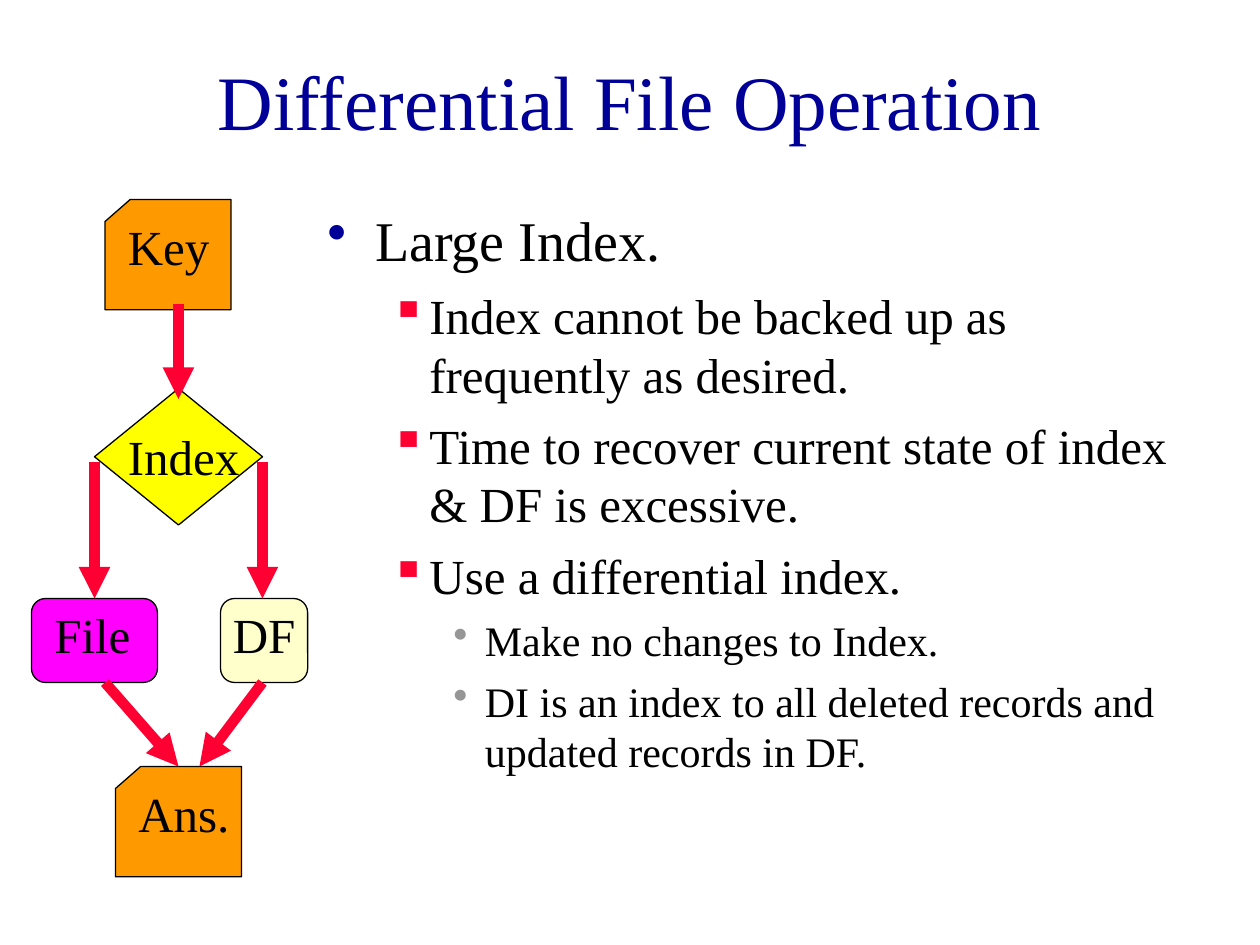
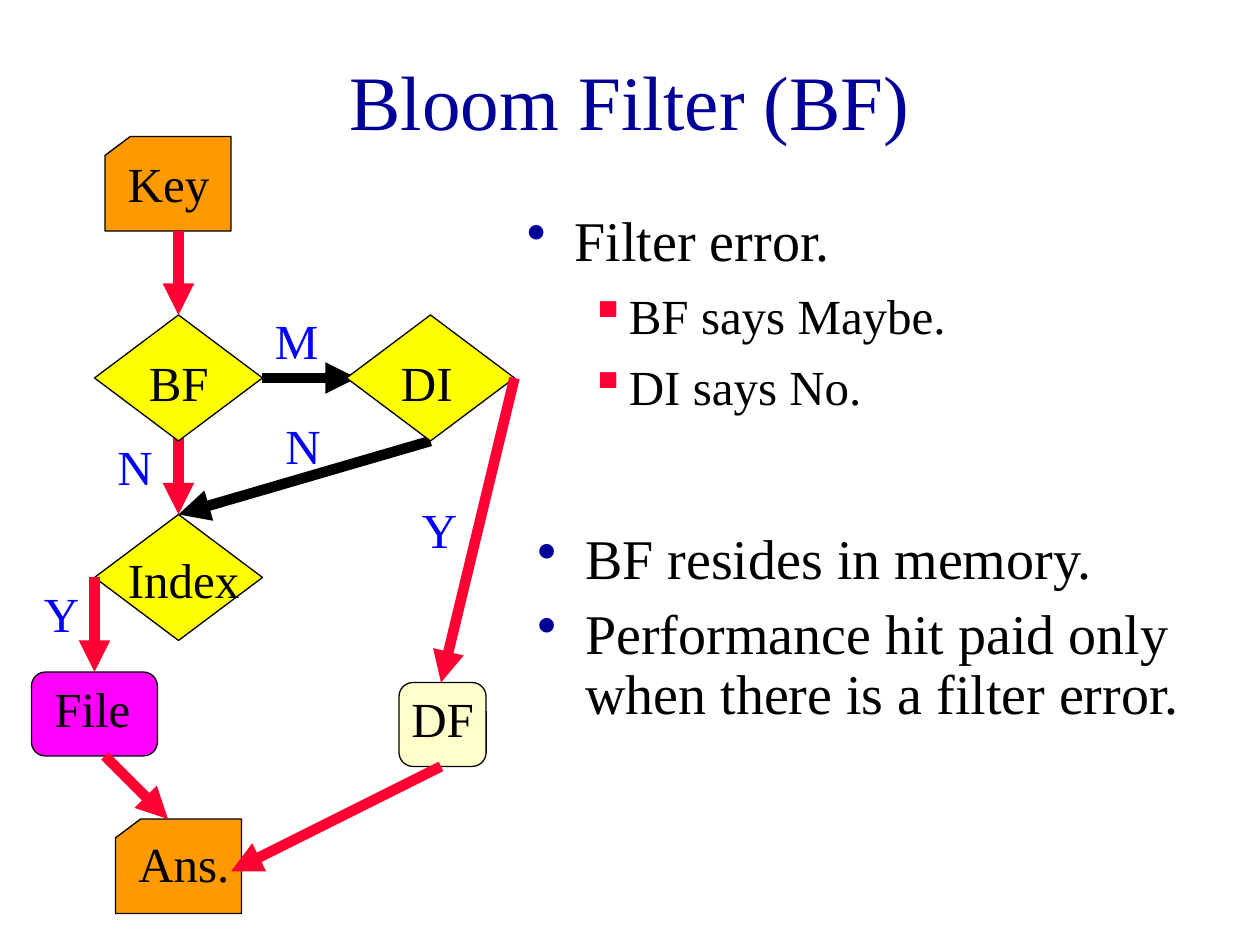
from lxml.etree import SubElement
from pptx import Presentation
from pptx.dml.color import RGBColor
from pptx.enum.shapes import MSO_CONNECTOR, MSO_SHAPE
from pptx.enum.text import MSO_ANCHOR, MSO_AUTO_SIZE, PP_ALIGN
from pptx.oxml.ns import qn
from pptx.util import Emu, Inches, Pt

# Shared look
FONT = "Times New Roman"
NAVY = RGBColor(0x00, 0x00, 0x99)
BLACK = RGBColor(0x00, 0x00, 0x00)
WHITE = RGBColor(0xFF, 0xFF, 0xFF)
RED = RGBColor(0xFF, 0x00, 0x33)
GREY = RGBColor(0x96, 0x96, 0x96)
BLUE = RGBColor(0x00, 0x00, 0xFF)
ORANGE = RGBColor(0xFF, 0x99, 0x00)
YELLOW = RGBColor(0xFF, 0xFF, 0x00)
MAGENTA = RGBColor(0xFF, 0x00, 0xFF)
CREAM = RGBColor(0xFF, 0xFF, 0xCC)

UNIT = Inches(1) // 12  # the grid has 120 columns and 90 rows
LABEL_H = 6.8

# Node kinds: shape, fill, width
CARD = (MSO_SHAPE.FLOWCHART_CARD, ORANGE, 12)
TEST = (MSO_SHAPE.FLOWCHART_DECISION, YELLOW, 16)
FILE = (MSO_SHAPE.FLOWCHART_ALTERNATE_PROCESS, MAGENTA, 12)
DIFF = (MSO_SHAPE.FLOWCHART_ALTERNATE_PROCESS, CREAM, 8.3)

# Outline levels: size, space before, left margin, hanging indent, bullet, colour
LEVELS = [
    (32, 8, 0.38, 0.38, "•", NAVY),
    (28, 7, 0.81, 0.31, "▪", RED),
    (24, 6, 1.25, 0.25, "•", GREY),
]


def grid(*cells):
    return [Emu(round(c * UNIT)) for c in cells]


def style(p, size, color):
    for r in p.runs:
        r.font.name = FONT
        r.font.size = Pt(size)
        r.font.color.rgb = color


def add_title(s, text):
    tf = s.shapes.add_textbox(*grid(9, 2, 102, 15)).text_frame
    tf.word_wrap = True
    tf.vertical_anchor = MSO_ANCHOR.MIDDLE
    tf.text = text
    p = tf.paragraphs[0]
    p.alignment = PP_ALIGN.CENTER
    style(p, 44, NAVY)


def add_bullet(p, level):
    size, before, margin, hanging, char, color = LEVELS[level]
    p.level = level
    p.space_before = Pt(before)
    p.alignment = PP_ALIGN.LEFT
    pPr = p._p.get_or_add_pPr()
    pPr.set("marL", str(Inches(margin)))
    pPr.set("indent", str(-Inches(hanging)))
    clr = SubElement(pPr, qn("a:buClr"))
    SubElement(clr, qn("a:srgbClr")).set("val", str(color))
    SubElement(pPr, qn("a:buChar")).set("char", char)
    style(p, size, BLACK)


def fill_outline(sp, items, line_spacing=None):
    tf = sp.text_frame
    tf.word_wrap = True
    tf.vertical_anchor = MSO_ANCHOR.TOP
    tf.text = "\n".join(text for _, text in items)
    for p, (level, _) in zip(tf.paragraphs, items):
        p.line_spacing = line_spacing
        add_bullet(p, level)


def add_label(shapes, text, x, y, w=6, color=BLUE):
    tf = shapes.add_textbox(*grid(x, y, w, LABEL_H)).text_frame
    tf.word_wrap = True
    tf.auto_size = MSO_AUTO_SIZE.SHAPE_TO_FIT_TEXT
    tf.text = text
    p = tf.paragraphs[0]
    p.space_before = Pt(17.5)
    style(p, 28, color)


def add_node(shapes, kind, text, x, y, h, dx=1, dy=1, label_w=None):
    """Draw a flowchart node; its label starts dx, dy inside the node."""
    preset, fill, w = kind
    sp = shapes.add_shape(preset, *grid(x, y, w, h))
    sp.shadow.inherit = False
    sp.fill.solid()
    sp.fill.fore_color.rgb = fill
    sp.line.color.rgb = BLACK
    sp.line.width = Pt(0.75)
    add_label(shapes, text, x + dx, y + dy, label_w or w, BLACK)


def add_arrow(shapes, x1, y1, x2, y2, color=RED):
    c = shapes.add_connector(MSO_CONNECTOR.STRAIGHT, *grid(x1, y1, x2, y2))
    c.line.color.rgb = color
    c.line.width = Pt(6)
    SubElement(c.line._get_or_add_ln(), qn("a:tailEnd")).set("type", "triangle")
    SubElement(c._element.spPr, qn("a:effectLst"))


def differential_file_slide(s):
    add_title(s, "Differential File Operation")

    # Flowchart
    g = s.shapes.add_group_shape().shapes
    add_node(g, CARD, "Key", 10, 19, 10.5)
    add_node(g, TEST, "Index", 9, 37, 13, dx=2, dy=3)
    add_node(g, FILE, "File", 3, 57, 8, dy=0)
    add_node(g, CARD, "Ans.", 11, 73, 10.5)
    add_node(g, DIFF, "DF", 21, 57, 8, dx=0, dy=0, label_w=10.3)
    add_arrow(g, 17, 29, 17, 38)
    for x in (9, 25):
        add_arrow(g, x, 44, x, 57)
    add_arrow(g, 10, 65, 17, 73)
    add_arrow(g, 25, 65, 19, 73)

    # Outline
    fill_outline(s.shapes.add_textbox(*grid(30, 19, 86, 68)), [
        (0, "Large Index."),
        (1, "Index cannot be backed up as frequently as desired."),
        (1, "Time to recover current state of index & DF is excessive."),
        (1, "Use a differential index."),
        (2, "Make no changes to Index."),
        (2, "DI is an index to all deleted records and updated records in DF."),
    ])


def bloom_filter_slide(s):
    add_title(s, "Bloom Filter (BF)")
    fill_outline(s.shapes.add_textbox(*grid(49, 19, 67, 22)), [
        (0, "Filter error."),
        (1, "BF says Maybe."),
        (1, "DI says No."),
    ])

    # Flowchart: arrows drawn before BF and DI end underneath them
    g = s.shapes.add_group_shape().shapes
    add_node(g, CARD, "Key", 10, 13, 9)
    add_node(g, TEST, "Index", 9, 49, 12, dx=2, dy=2.75)
    add_node(g, FILE, "File", 3, 64, 8, dy=0)
    add_node(g, CARD, "Ans.", 11, 78, 9, dy=0.8)
    add_arrow(g, 17, 40, 17, 49)
    add_arrow(g, 9, 55, 9, 64)
    add_arrow(g, 10, 72, 16, 78)
    add_node(g, DIFF, "DF", 38, 65, 8, dx=0, dy=0, label_w=10.3)
    add_arrow(g, 41, 42, 17, 49, BLACK)
    add_arrow(g, 42, 73, 22, 83)
    add_node(g, TEST, "BF", 9, 30, 12, dx=4, dy=3, label_w=13)
    add_arrow(g, 17, 22, 17, 30)
    add_arrow(g, 25, 36, 34, 36, BLACK)
    add_node(g, TEST, "DI", 33, 30, 12, dx=4, dy=3)
    add_arrow(g, 49, 36, 42, 65)

    # Branch labels
    for text, x, y in [("Y", 39, 47), ("N", 10, 41), ("Y", 3, 55),
                       ("M", 25, 29), ("N", 26, 39)]:
        add_label(g, text, x, y)

    # Closing remarks on a white panel
    panel = s.shapes.add_shape(MSO_SHAPE.RECTANGLE, *grid(50, 50, 67, 22))
    panel.shadow.inherit = False
    panel.fill.solid()
    panel.fill.fore_color.rgb = WHITE
    panel.line.fill.background()
    fill_outline(panel, [
        (0, "BF resides in memory."),
        (0, "Performance hit paid only when there is a filter error."),
    ], line_spacing=0.9)


def main():
    prs = Presentation()
    prs.slide_width, prs.slide_height = grid(120, 90)
    blank = prs.slide_layouts[6]
    for build in (differential_file_slide, bloom_filter_slide):
        build(prs.slides.add_slide(blank))
    prs.save("out.pptx")


main()
